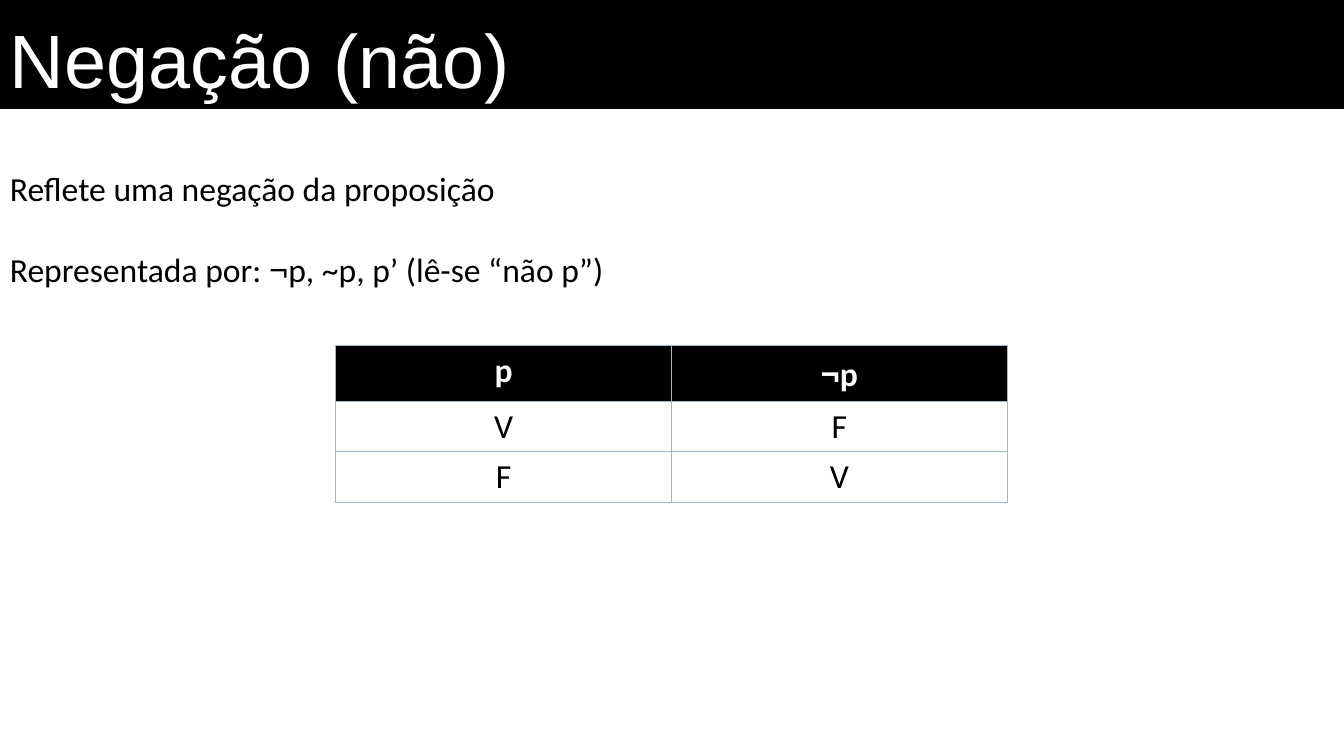
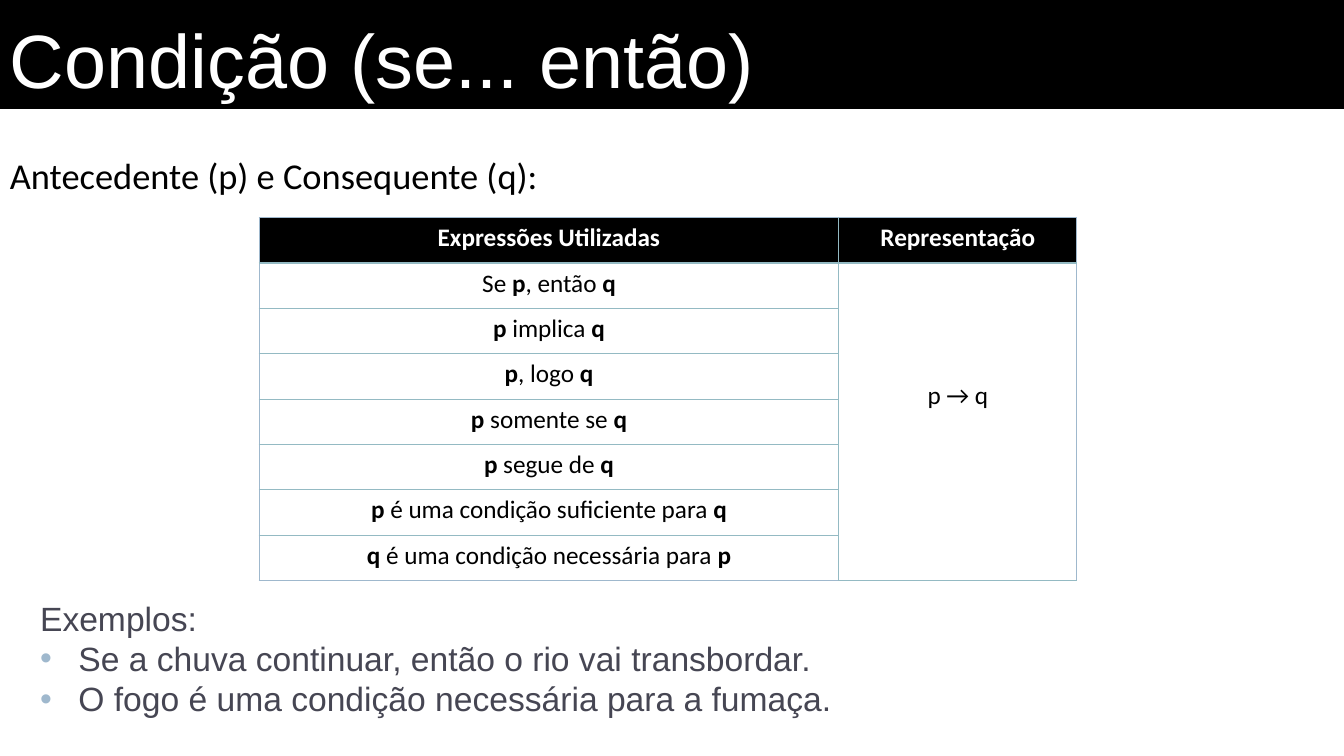
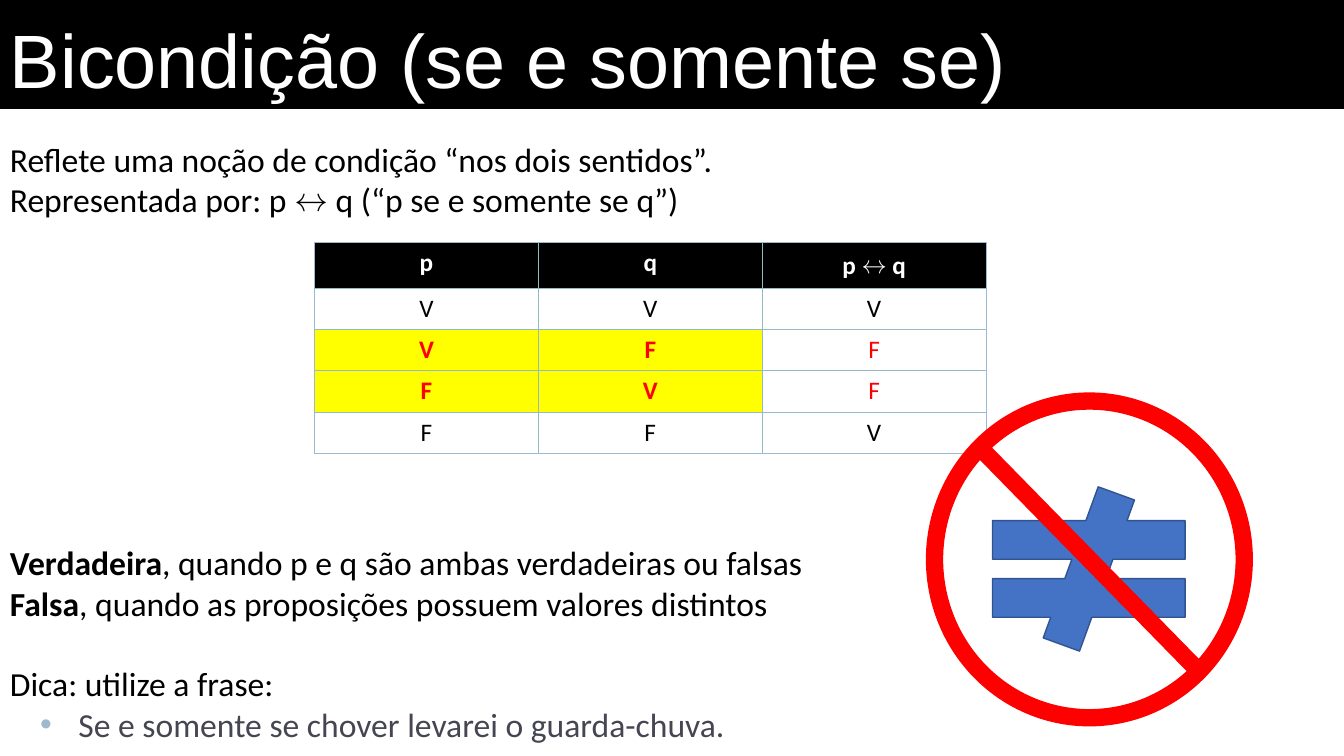
from itertools import groupby

from lxml import etree
from pptx import Presentation
from pptx.dml.color import RGBColor
from pptx.enum.shapes import MSO_SHAPE as Shape
from pptx.enum.text import MSO_ANCHOR as Anchor, PP_ALIGN as Align
from pptx.oxml.ns import qn
from pptx.util import Inches, Pt

WIDTH, HEIGHT = 13.33, 7.5
BLACK, WHITE, RED, YELLOW, SLATE = "000000", "FFFFFF", "FF0000", "FFFF00", "464653"
OUTER, INNER = ("9FB8CD", 0.75), ("94BAC3", 0.96)
BULLET_COLOUR = "9FB8CD"
SYMBOLS = "¬↔"
LINE_PITCH = 28.8

SLIDES = [
    {
        "title": "Negação (não)",
        "texts": [
            {"at": (0, 1.62, WIDTH, 5.11), "paras": [
                {"text": "Reflete uma negação da proposição"},
                {"text": "Representada por: ¬p, ~p, p’ (lê-se “não p”)", "gap": 1},
            ]},
        ],
        "table": {
            "at": (3.33, 3.43), "size": 24,
            "cols": [3.33, 3.33], "header": 0.55, "row": 0.5,
            "rows": [["p", "¬p"], ["V", "F"], ["F", "V"]],
        },
    },
    {
        "title": "Condição (se... então)",
        "texts": [
            {"at": (0, 1.47, WIDTH, 0.63), "paras": [
                {"text": "Antecedente (p) e Consequente (q):", "size": 26, "pitch": 1.0},
            ]},
            {"at": (0, 5.88, WIDTH, 1.62), "font": "Arial", "colour": SLATE, "paras": [
                {"text": "Exemplos:", "indent": 0.3},
                {"text": "Se a chuva continuar, então o rio vai transbordar.", "bullet": True},
                {"text": "O fogo é uma condição necessária para a fumaça.", "bullet": True},
            ]},
        ],
        "table": {
            "at": (2.57, 2.16), "size": 18,
            "cols": [5.75, 2.36], "header": 0.45, "row": 0.45,
            "rows": [
                ["Expressões Utilizadas", "Representação"],
                ["Se *p*, então *q*", "p → q"],
                ["*p* implica *q*"],
                ["*p*, logo *q*"],
                ["*p* somente se *q*"],
                ["*p* segue de *q*"],
                ["*p* é uma condição suficiente para *q*"],
                ["*q* é uma condição necessária para *p*"],
            ],
            "merged_column": 1, "merged_top": 1.17,
        },
    },
    {
        "title": "Bicondição (se e somente se)",
        "texts": [
            {"at": (0, 1.33, WIDTH, 5.49), "paras": [
                {"text": "Reflete uma noção de condição “nos dois sentidos”."},
                {"text": "Representada por: p ↔ q (“p se e somente se q”)"},
                {"text": "*Verdadeira*, quando p e q são ambas verdadeiras ou falsas", "gap": 8},
                {"text": "*Falsa*, quando as proposições possuem valores distintos"},
                {"text": "Dica: utilize a frase:", "gap": 1},
                {"text": "Se e somente se chover levarei o guarda-chuva.",
                 "bullet": True, "colour": SLATE},
            ]},
        ],
        "table": {
            "at": (3.12, 2.41), "size": 18,
            "cols": [2.22, 2.22, 2.22], "header": 0.45, "row": 0.41,
            "rows": [
                ["p", "q", "p ↔ q"],
                ["V", "V", "V"],
                ["*V*", "*F*", "F"],
                ["*F*", "*V*", "F"],
                ["F", "F", "V"],
            ],
            "red_rows": (2, 3), "yellow_columns": (0, 1),
        },
        "signs": [
            {"kind": Shape.MATH_NOT_EQUAL, "at": (9.5, 4.83, 2.6, 1.63),
             "adjust": (0.235, 66, 0.118), "fill": "4472C4", "line": "31538F"},
            {"kind": Shape.NO_SYMBOL, "at": (9.19, 3.9, 3.23, 3.3),
             "adjust": (0.049,), "fill": RED, "line": RED},
        ],
    },
]


def colour(value):
    return RGBColor.from_string(value)


def inches(values):
    return [Inches(value) for value in values]


def write(para, text, size, tint, font="Calibri", bold=False):
    para.font.size = Pt(size)
    para.font.name = font
    para.font.bold = bold
    para.font.color.rgb = colour(tint)
    for index, part in enumerate(text.split("*")):
        for is_symbol, letters in groupby(part, lambda letter: letter in SYMBOLS):
            span = para.add_run()
            span.text = "".join(letters)
            if index % 2:
                span.font.bold = True
            if is_symbol:
                span.font.name = "Noto Sans"


def add_bullet(para):
    props = para._p.get_or_add_pPr()
    props.set("marL", str(Inches(0.68)))
    props.set("indent", str(Inches(-0.38)))
    tint = etree.SubElement(props, qn("a:buClr"))
    etree.SubElement(tint, qn("a:srgbClr"), val=BULLET_COLOUR)
    etree.SubElement(props, qn("a:buFont"), typeface="Arial")
    etree.SubElement(props, qn("a:buChar"), char="•")


def add_preset(page, kind, at, fill, line=None, adjust=()):
    shape = page.shapes.add_shape(kind, *inches(at))
    shape.shadow.inherit = False
    shape.fill.solid()
    shape.fill.fore_color.rgb = colour(fill)
    if line:
        shape.line.color.rgb = colour(line)
        shape.line.width = Pt(1)
    else:
        shape.line.fill.background()
    for index, value in enumerate(adjust):
        shape.adjustments[index] = value
    return shape


def add_title(page, text):
    band = add_preset(page, Shape.RECTANGLE, (0, 0, WIDTH, 1.08), BLACK)
    frame = band.text_frame
    frame.word_wrap = True
    frame.vertical_anchor = Anchor.BOTTOM
    para = frame.paragraphs[0]
    para.alignment = Align.LEFT
    write(para, text, 54, WHITE, "Arial")


def add_text(page, at, paras, font="Calibri", colour=BLACK):
    frame = page.shapes.add_textbox(*inches(at)).text_frame
    frame.word_wrap = True
    for index, item in enumerate(paras):
        para = frame.add_paragraph() if index else frame.paragraphs[0]
        if item.get("bullet"):
            add_bullet(para)
        elif "indent" in item:
            para._p.get_or_add_pPr().set("marL", str(Inches(item["indent"])))
        para.line_spacing = item.get("pitch", Pt(LINE_PITCH))
        if "gap" in item:
            para.space_before = Pt(item["gap"] * LINE_PITCH)
        write(para, item["text"], item.get("size", 24), item.get("colour", colour), font)


def set_borders(cell, edges):
    props = cell._tc.get_or_add_tcPr()
    for index, (side, is_outer) in enumerate(edges):
        tint, width = OUTER if is_outer else INNER
        line = etree.Element(qn("a:ln" + side), w=str(Pt(width)))
        fill = etree.SubElement(line, qn("a:solidFill"))
        etree.SubElement(fill, qn("a:srgbClr"), val=tint)
        props.insert(index, line)


def add_grid(page, at, size, cols, header, row, rows, merged_column=None,
             merged_top=0.05, red_rows=(), yellow_columns=()):
    heights = [header] + [row] * (len(rows) - 1)
    frame = page.shapes.add_table(len(rows), len(cols),
                                  *inches((*at, sum(cols), sum(heights))))
    table = frame.table
    table.first_row = table.horz_banding = False
    for column, width in zip(table.columns, cols):
        column.width = Inches(width)
    last_row, last_col = len(rows) - 1, len(cols) - 1
    for r, texts in enumerate(rows):
        table.rows[r].height = Inches(heights[r])
        for c in range(len(cols)):
            cell = table.cell(r, c)
            is_red = r in red_rows
            fill = BLACK if r == 0 else YELLOW if is_red and c in yellow_columns else None
            if fill:
                cell.fill.solid()
                cell.fill.fore_color.rgb = colour(fill)
            else:
                cell.fill.background()
            set_borders(cell, [("L", c == 0), ("R", c == last_col),
                               ("T", r == 0), ("B", r == last_row)])
            if c < len(texts):
                para = cell.text_frame.paragraphs[0]
                para.alignment = Align.CENTER
                tint = WHITE if r == 0 else RED if is_red else BLACK
                write(para, texts[c], size, tint, bold=r == 0)
    if merged_column is not None:
        first = table.cell(1, merged_column)
        first.merge(table.cell(last_row, merged_column))
        first.margin_top = Inches(merged_top)


def main():
    deck = Presentation()
    deck.slide_width, deck.slide_height = inches((WIDTH, HEIGHT))
    for content in SLIDES:
        page = deck.slides.add_slide(deck.slide_layouts[6])
        add_title(page, content["title"])
        for text in content["texts"]:
            add_text(page, **text)
        add_grid(page, **content["table"])
        for sign in content.get("signs", []):
            add_preset(page, **sign)
    deck.save("out.pptx")


if __name__ == "__main__":
    main()
